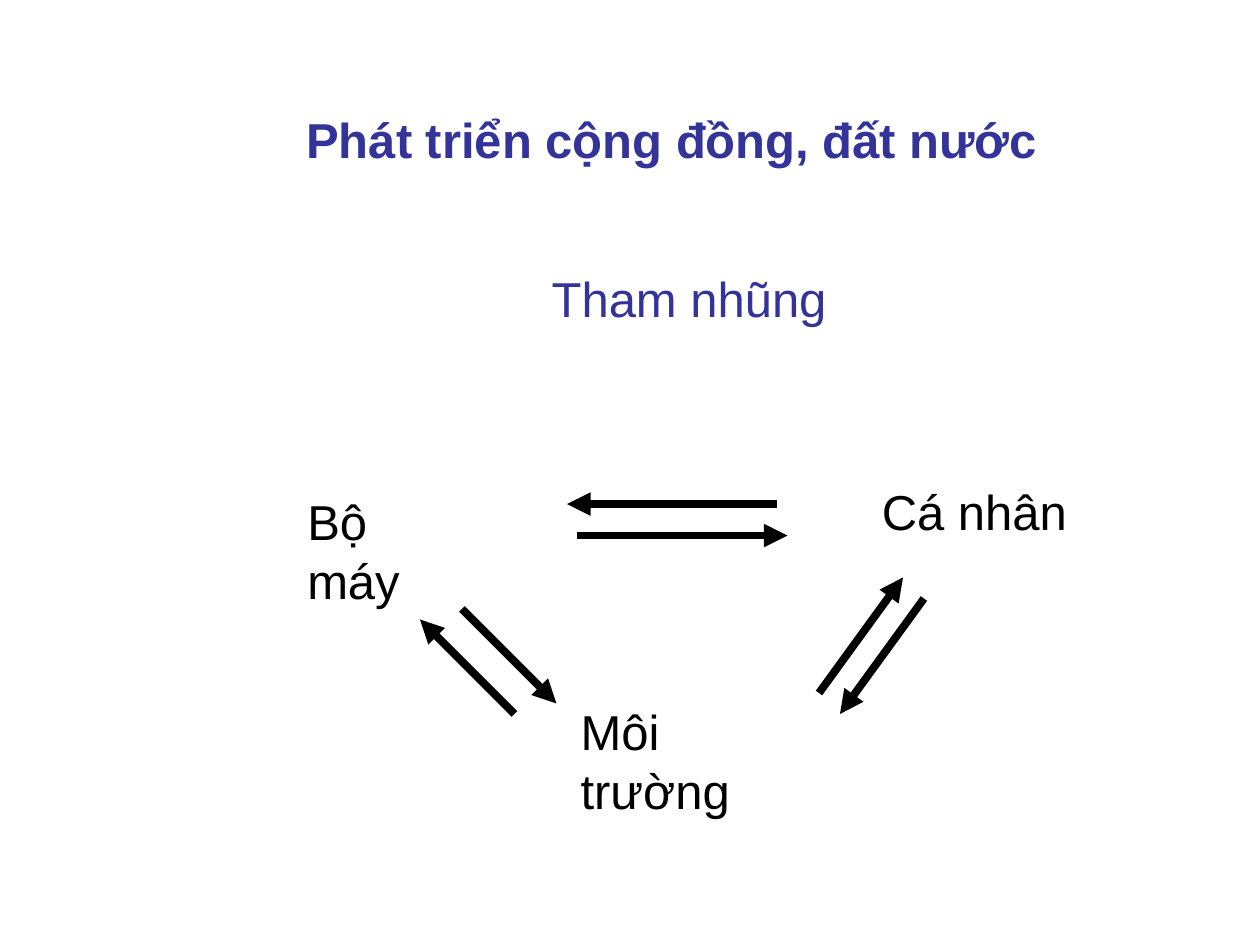
from lxml.etree import SubElement
from pptx import Presentation
from pptx.dml.color import RGBColor
from pptx.enum.shapes import MSO_CONNECTOR
from pptx.enum.text import MSO_AUTO_SIZE
from pptx.oxml.ns import qn
from pptx.util import Inches, Pt

INDIGO = RGBColor(0x33, 0x33, 0x99)
BLACK = RGBColor(0x00, 0x00, 0x00)
COLUMNS, ROWS = 120, 90
CELL = Inches(10) / COLUMNS
LABEL_ROWS = 6.84


def grid(*counts):
    return [round(count * CELL) for count in counts]


def add_label(slide, text, column, row, columns, color, bold=False, wrap=False):
    shape = slide.shapes.add_textbox(*grid(column, row, columns, LABEL_ROWS))
    text_frame = shape.text_frame
    text_frame.text = text
    text_frame.word_wrap = wrap
    text_frame.auto_size = MSO_AUTO_SIZE.SHAPE_TO_FIT_TEXT
    font = text_frame.paragraphs[0].runs[0].font
    font.name = "Arial"
    font.size = Pt(28)
    font.bold = bold
    font.color.rgb = color


def add_arrow(slide, start, end):
    connector = slide.shapes.add_connector(
        MSO_CONNECTOR.STRAIGHT, *grid(*start, *end))
    connector.line.color.rgb = BLACK
    connector.line.width = Pt(4.5)
    properties = connector._element.spPr
    SubElement(properties.find(qn("a:ln")), qn("a:tailEnd"), type="triangle")
    SubElement(properties, qn("a:effectLst"))


def add_arrow_pair(slide, start, end, shift):
    add_arrow(slide, start, end)
    back_start, back_end = (
        (column + shift[0], row + shift[1]) for column, row in (end, start))
    add_arrow(slide, back_start, back_end)


def main():
    presentation = Presentation()
    presentation.slide_width, presentation.slide_height = grid(COLUMNS, ROWS)
    slide = presentation.slides.add_slide(presentation.slide_layouts[6])

    add_label(slide, "Tham nhũng", 51.36, 25, 28.56, INDIGO)
    add_label(slide, "Bộ máy", 28.08, 46.2, 18.12, BLACK)
    add_label(slide, "Cá nhân", 82.8, 45.24, 20.04, BLACK)
    add_label(slide, "Môi trường", 54.12, 66.24, 25.32, BLACK)
    add_label(slide, "Phát triển cộng đồng, đất nước", 28, 9.84, 78.48,
              INDIGO, bold=True, wrap=True)

    add_arrow_pair(slide, (55, 51), (75, 51), shift=(-1, -3))
    add_arrow_pair(slide, (78, 66), (86, 55), shift=(2, 2))
    add_arrow_pair(slide, (44, 58), (53, 67), shift=(-4, 1))

    presentation.save("out.pptx")


if __name__ == "__main__":
    main()
